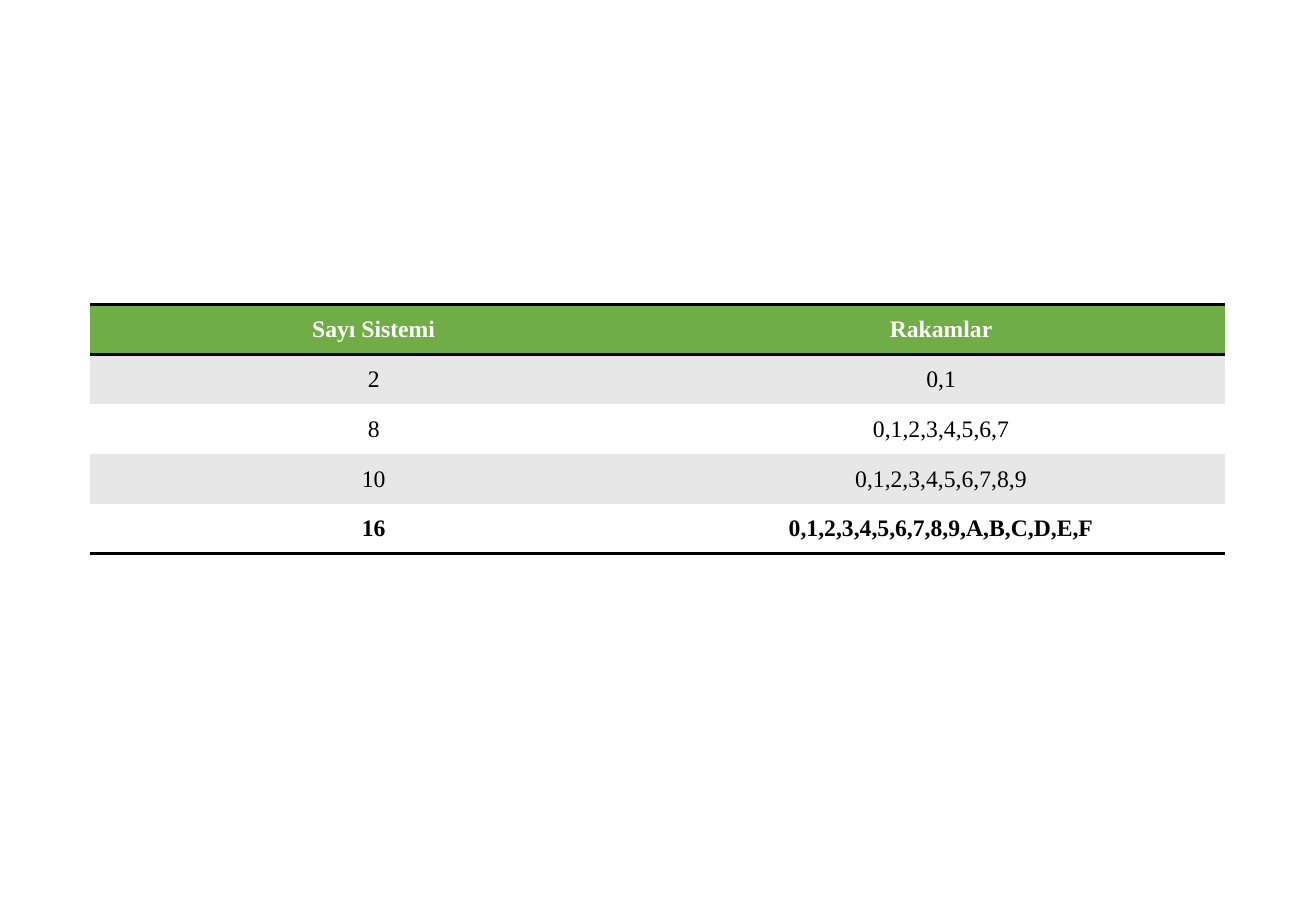
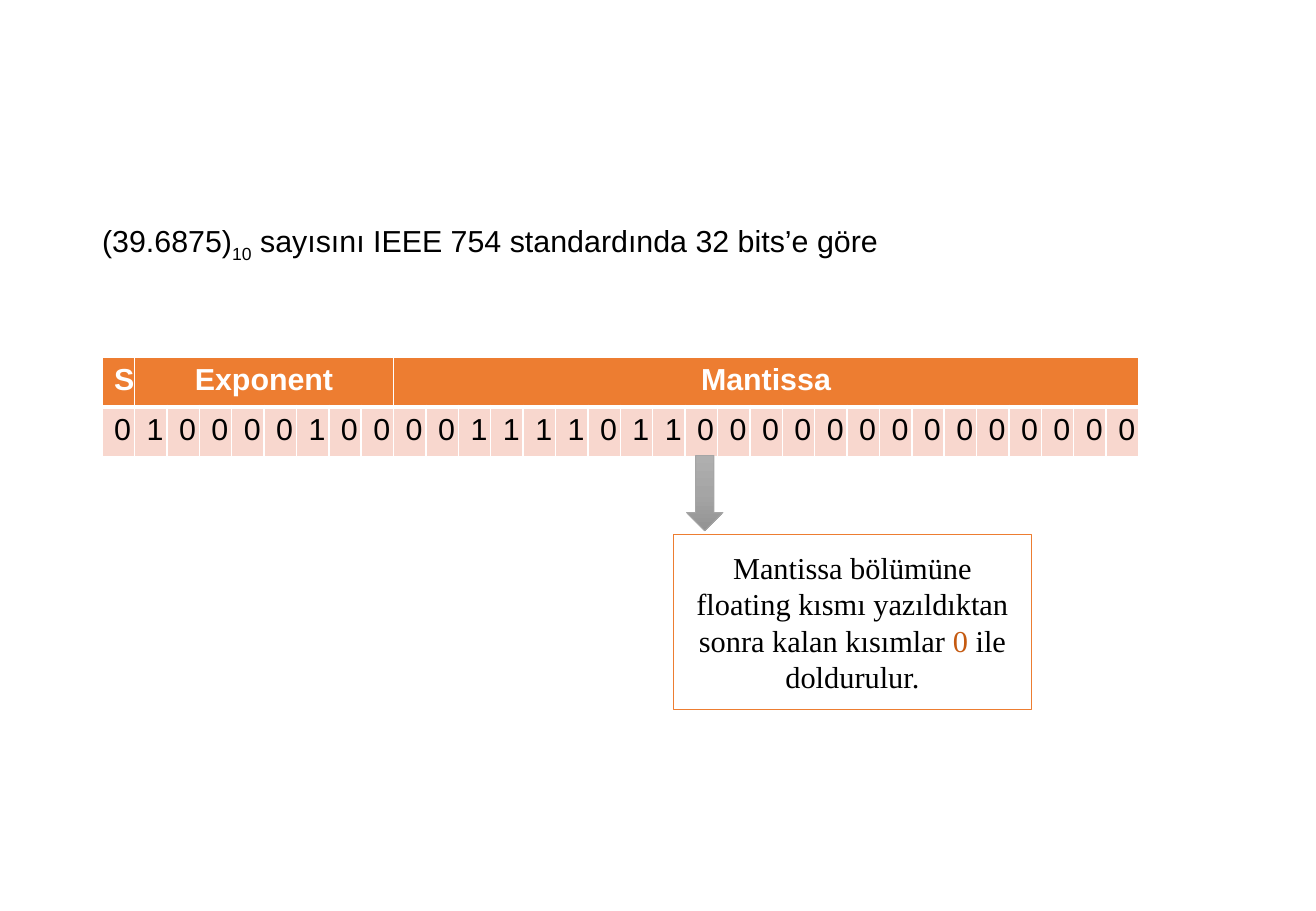
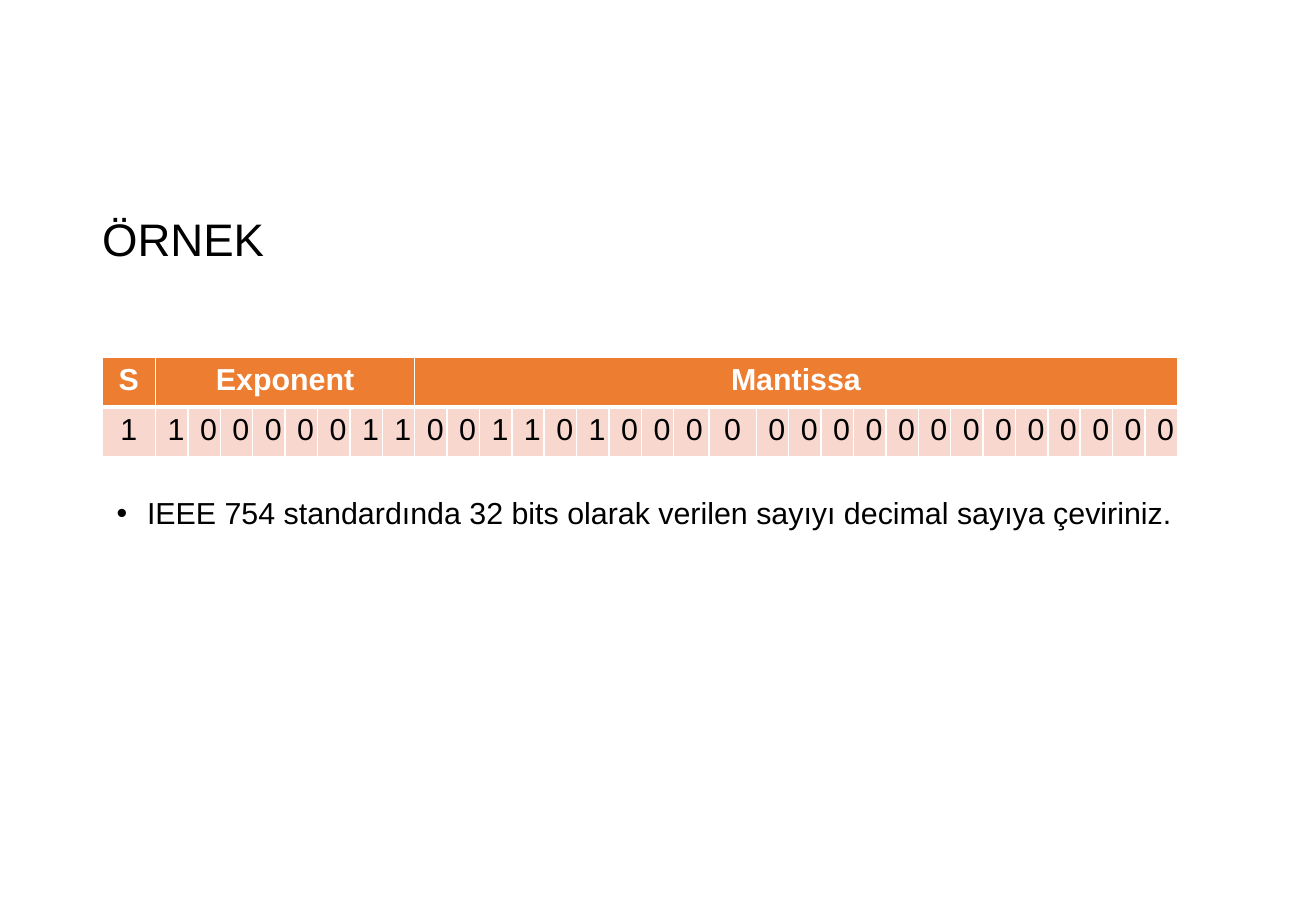
"""Three slides on number systems and IEEE 754 bit fields."""
from copy import deepcopy
from dataclasses import dataclass

from lxml import etree
from pptx import Presentation
from pptx import util as u
from pptx.dml.color import RGBColor
from pptx.enum import shapes, text
from pptx.oxml.ns import qn


@dataclass(frozen=True)
class Theme:
    """Colours, fonts and type sizes shared by the slides."""
    black: str = "000000"
    white: str = "FFFFFF"
    green: str = "70AD47"
    band: str = "E7E7E7"
    orange: str = "ED7D31"
    peach: str = "F8D7CE"
    rust: str = "C55A11"
    grey: str = "A5A5A5"
    arrow_stops: tuple = ((0, "AFAFAF"), (0.5, "A5A5A5"), (1, "939393"))
    sans: str = "Arial"
    serif: str = "Times New Roman"
    table_size: int = 14
    text_size: int = 18
    title_size: int = 27
    plain_table: str = "{2D5ABB26-0587-4C30-8999-92F81FD0307C}"


THEME = Theme()
ROW = 0.41
BIT = 8.54 / 32
FIELDS = (("S", 1), ("Exponent", 8), ("Mantissa", 23))
SYSTEMS = (
    ("Sayı Sistemi", "Rakamlar"),
    ("2", "0,1"),
    ("8", "0,1,2,3,4,5,6,7"),
    ("10", "0,1,2,3,4,5,6,7,8,9"),
    ("16", "0,1,2,3,4,5,6,7,8,9,A,B,C,D,E,F"),
)


def place(shape, left, top, width, height):
    """Move and size a shape in inches."""
    shape.left, shape.top = u.Inches(left), u.Inches(top)
    shape.width, shape.height = u.Inches(width), u.Inches(height)


def add_span(para, words, size=THEME.text_size, font=THEME.sans,
             color=THEME.black, bold=False, baseline=None):
    """Add one formatted run to a paragraph."""
    span = para.add_run()
    span.text = words
    span.font.size = u.Pt(size)
    span.font.name = font
    span.font.bold = bold
    span.font.color.rgb = RGBColor.from_string(color)
    if baseline is not None:
        span.font._element.set("baseline", str(baseline))


def set_borders(cell, **widths):
    """Draw cell borders: each side takes (colour, points) or None."""
    props = cell._tc.get_or_add_tcPr()
    for side in "LRTB":
        border = widths.get(side)
        line = etree.SubElement(props, qn(f"a:ln{side}"))
        if border is None:
            etree.SubElement(line, qn("a:noFill"))
            continue
        color, points = border
        line.set("w", str(u.Pt(points)))
        fill = etree.SubElement(line, qn("a:solidFill"))
        etree.SubElement(fill, qn("a:srgbClr")).set("val", color)


def fill_cell(cell, words, fill, **style):
    """Fill a cell and write its centred text."""
    cell.fill.solid()
    cell.fill.fore_color.rgb = RGBColor.from_string(fill)
    if words:
        para = cell.text_frame.paragraphs[0]
        para.alignment = text.PP_ALIGN.CENTER
        add_span(para, words, **style)


def add_plain_table(page, left, top, widths, row_count):
    """Add an unstyled table with the given column widths."""
    frame = page.shapes.add_table(
        row_count, len(widths), u.Inches(left), u.Inches(top),
        u.Inches(sum(widths)), u.Inches(ROW * row_count))
    table = frame.table
    table.horz_banding = False
    table._tbl.tblPr.find(qn("a:tableStyleId")).text = THEME.plain_table
    for column, width in zip(table.columns, widths):
        column.width = u.Inches(width)
    for row in table.rows:
        row.height = u.Inches(ROW)
    return table


def add_systems_table(page):
    """Add the table of number systems and their digits."""
    table = add_plain_table(page, 0.74, 2.51, (4.67, 4.67), len(SYSTEMS))
    rule = (THEME.black, 2)
    last = len(SYSTEMS) - 1
    for r, row in enumerate(SYSTEMS):
        fill = THEME.green if r == 0 else THEME.band if r % 2 else THEME.white
        for c, words in enumerate(row):
            cell = table.cell(r, c)
            cell.vertical_anchor = text.MSO_ANCHOR.MIDDLE
            set_borders(cell, T=rule if r < 2 else None,
                        B=rule if r in (0, last) else None)
            fill_cell(cell, words, fill, size=THEME.table_size,
                      font=THEME.serif, bold=r in (0, last),
                      color=THEME.black if r else THEME.white)


def add_bit_table(page, bits, wide=None):
    """Add a sign, exponent and mantissa table; wide maps columns to widths."""
    widths = [(wide or {}).get(c, BIT) for c in range(len(bits))]
    table = add_plain_table(page, 0.84, 2.94, widths, 2)
    thin, thick = (THEME.white, 1), (THEME.white, 3)
    for c, bit in enumerate(bits):
        head, body = table.cell(0, c), table.cell(1, c)
        set_borders(head, L=thin, R=thin, T=thin, B=thick)
        set_borders(body, L=thin, R=thin, T=thick, B=thin)
        fill_cell(body, bit, THEME.peach)
    start = 0
    for name, count in FIELDS:
        head = table.cell(0, start)
        if count > 1:
            head.merge(table.cell(0, start + count - 1))
        fill_cell(head, name, THEME.orange, color=THEME.white, bold=True)
        start += count


def write_title(page, *spans):
    """Place the title and write its (words, style) runs."""
    title = page.shapes.title
    place(title, 0.74, 1.66, 9.34, 0.66)
    frame = title.text_frame
    frame.auto_size = text.MSO_AUTO_SIZE.NONE
    frame.vertical_anchor = text.MSO_ANCHOR.MIDDLE
    para = frame.paragraphs[0]
    para.alignment = text.PP_ALIGN.LEFT
    para.line_spacing = 0.9
    for words, style in spans:
        add_span(para, words, **style)


def write_bullet(page, words):
    """Write one justified bullet in the body placeholder."""
    body = page.placeholders[1]
    place(body, 0.86, 4.05, 9.23, 2.71)
    frame = body.text_frame
    frame.auto_size = text.MSO_AUTO_SIZE.NONE
    para = frame.paragraphs[0]
    props = para._p.get_or_add_pPr()
    props.set("marL", str(u.Inches(0.25)))
    props.set("indent", str(-u.Inches(0.25)))
    etree.SubElement(props, qn("a:buChar")).set("char", "•")
    para.alignment = text.PP_ALIGN.JUSTIFY
    para.line_spacing = 0.9
    para.space_before = u.Pt(0)
    add_span(para, words)


def add_outlined(page, kind, at, color, points):
    """Add a preset shape without shadow and with a coloured outline."""
    shape = page.shapes.add_shape(kind, *map(u.Inches, at))
    shape.shadow.inherit = False
    shape.line.color.rgb = RGBColor.from_string(color)
    shape.line.width = u.Pt(points)
    return shape


def add_down_arrow(page):
    """Add the grey gradient arrow below the bit table."""
    arrow = add_outlined(page, shapes.MSO_SHAPE.DOWN_ARROW,
                         (5.65, 3.75, 0.3, 0.62), THEME.grey, 0.5)
    arrow.fill.gradient()
    arrow.fill.gradient_angle = 270
    stops = arrow._element.spPr.find(qn("a:gradFill")).find(qn("a:gsLst"))
    stops.insert(1, deepcopy(stops[0]))
    for stop, (position, color) in zip(arrow.fill.gradient_stops,
                                       THEME.arrow_stops):
        stop.position = position
        stop.color.rgb = RGBColor.from_string(color)


def add_note_box(page, *spans):
    """Add the outlined note with its (words, colour) runs."""
    box = add_outlined(page, shapes.MSO_SHAPE.RECTANGLE,
                       (5.54, 4.4, 2.95, 1.44), THEME.orange, 0.75)
    box.fill.background()
    frame = box.text_frame
    frame.word_wrap = True
    frame.vertical_anchor = text.MSO_ANCHOR.MIDDLE
    para = frame.paragraphs[0]
    para.alignment = text.PP_ALIGN.CENTER
    for words, color in spans:
        add_span(para, words, font=THEME.serif, color=color)


def main():
    """Build and save the deck."""
    deck = Presentation()
    deck.slide_width, deck.slide_height = u.Inches(10.83), u.Inches(7.5)
    layouts = deck.slide_layouts

    page = deck.slides.add_slide(layouts.get_by_name("Blank"))
    add_systems_table(page)

    page = deck.slides.add_slide(layouts.get_by_name("Title Only"))
    write_title(page, ("(39.6875)", {}), ("10", {"baseline": -25000}),
                (" sayısını IEEE 754 standardında 32 bits’e göre", {}))
    add_bit_table(page, "0" "10000100" "00111101100000000000000")
    add_down_arrow(page)
    add_note_box(
        page,
        ("Mantissa bölümüne floating kısmı yazıldıktan sonra kalan kısımlar ",
         THEME.black),
        ("0", THEME.rust), (" ile doldurulur.", THEME.black))

    page = deck.slides.add_slide(layouts.get_by_name("Title and Content"))
    write_title(page, ("ÖRNEK", {"size": THEME.title_size}))
    add_bit_table(page, "1" "10000011" "00110100000000000000000",
                  {0: 0.44, 17: 0.29, 18: 0.39})
    write_bullet(page, "IEEE 754 standardında 32 bits olarak verilen sayıyı "
                       "decimal sayıya çeviriniz.")

    deck.save("out.pptx")


if __name__ == "__main__":
    main()
